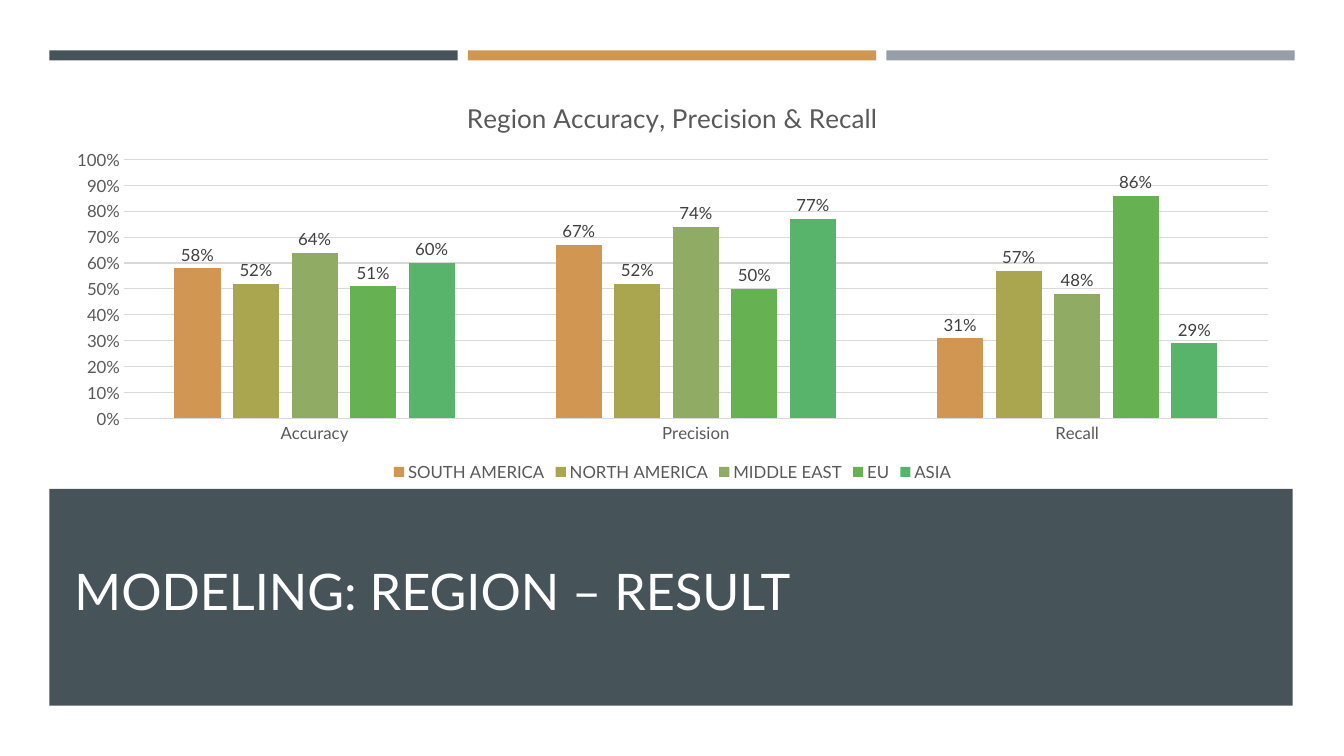
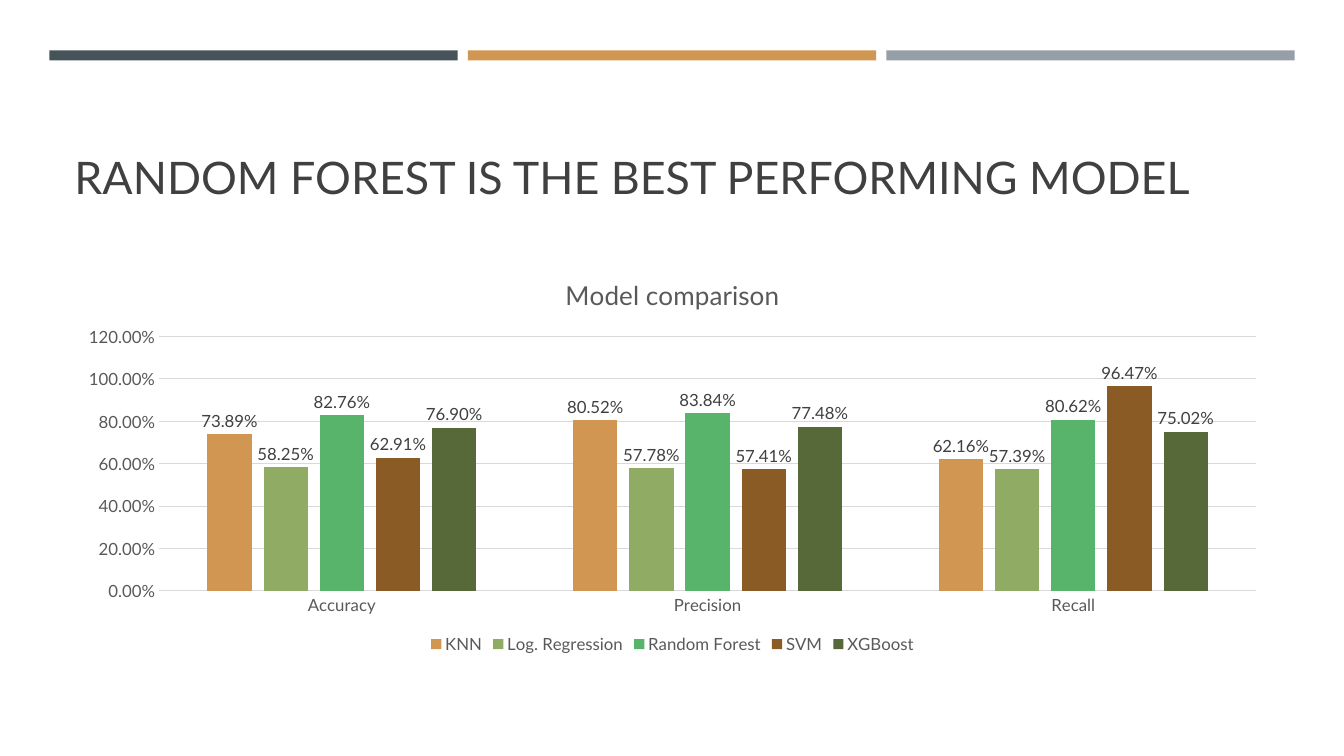
from dataclasses import dataclass

from pptx import Presentation
from pptx.chart.data import CategoryChartData
from pptx.dml.color import RGBColor
from pptx.enum.chart import XL_CHART_TYPE as ChartType
from pptx.enum.chart import XL_LABEL_POSITION as LabelPosition
from pptx.enum.chart import XL_LEGEND_POSITION as LegendPosition
from pptx.enum.chart import XL_TICK_MARK as TickMark
from pptx.enum.shapes import MSO_SHAPE as ShapeType
from pptx.enum.text import MSO_ANCHOR as Anchor
from pptx.util import Inches, Pt


@dataclass(frozen=True)
class Theme:
    font: str = "Lato"
    slate: str = "465359"
    orange: str = "D19651"
    gray: str = "969FA7"
    olive: str = "A9A64F"
    sage: str = "90AB63"
    green: str = "66B253"
    emerald: str = "58B46B"
    brown: str = "8A5B24"
    moss: str = "576939"
    white: str = "FFFFFF"
    dark_text: str = "404040"
    chart_text: str = "595959"
    grid: str = "D9D9D9"
    banner_title: float = 36
    slide_title: float = 32
    chart_title: float = 18.6
    chart_body: float = 12


theme = Theme()


def style_font(font, size, color):
    font.name = theme.font
    font.size = Pt(size)
    font.bold = False
    font.color.rgb = RGBColor.from_string(color)


def add_bar(slide, left, top, width, height, color):
    bar = slide.shapes.add_shape(
        ShapeType.RECTANGLE, Inches(left), Inches(top), Inches(width), Inches(height)
    )
    bar.shadow.inherit = False
    bar.fill.solid()
    bar.fill.fore_color.rgb = RGBColor.from_string(color)
    bar.line.fill.background()


# Content: positions are left, top, width, height in inches
categories = ["Accuracy", "Precision", "Recall"]
pages = [
    {
        "title": "MODELING: REGION – RESULT",
        "title_box": (0.64, 5.04, 12.02, 1.17),
        "title_size": theme.banner_title,
        "title_color": theme.white,
        "banner": (0.49, 4.85, 12.33, 2.15),
        "chart_title": "Region Accuracy, Precision & Recall",
        "chart_box": (0.52, 0.8, 12.3, 4.02),
        "format": "0%",
        "axis_max": 1.0,
        "axis_step": 0.1,
        "series": [
            ("SOUTH AMERICA", theme.orange, (0.58, 0.67, 0.31)),
            ("NORTH AMERICA", theme.olive, (0.52, 0.52, 0.57)),
            ("MIDDLE EAST", theme.sage, (0.64, 0.74, 0.48)),
            ("EU", theme.green, (0.51, 0.5, 0.86)),
            ("ASIA", theme.emerald, (0.6, 0.77, 0.29)),
        ],
    },
    {
        "title": "RANDOM FOREST IS THE BEST PERFORMING MODEL",
        "title_box": (0.64, 0.77, 12.06, 1.3),
        "title_size": theme.slide_title,
        "title_color": theme.dark_text,
        "banner": None,
        "chart_title": "Model comparison",
        "chart_box": (0.64, 2.56, 12.06, 3.97),
        "format": "0.00%",
        "axis_max": 1.2,
        "axis_step": 0.2,
        "series": [
            ("KNN", theme.orange, (0.7389, 0.8052, 0.6216)),
            ("Log. Regression", theme.sage, (0.5825, 0.5778, 0.5739)),
            ("Random Forest", theme.emerald, (0.8276, 0.8384, 0.8062)),
            ("SVM", theme.brown, (0.6291, 0.5741, 0.9647)),
            ("XGBoost", theme.moss, (0.769, 0.7748, 0.7502)),
        ],
    },
]

presentation = Presentation()
presentation.slide_width = Inches(13.33)
presentation.slide_height = Inches(7.5)

for page in pages:
    slide = presentation.slides.add_slide(presentation.slide_layouts[6])
    slide.background.fill.solid()
    slide.background.fill.fore_color.rgb = RGBColor.from_string(theme.white)

    # Three bands along the top, and the banner behind the title
    for column, color in enumerate((theme.slate, theme.orange, theme.gray)):
        add_bar(slide, 0.49 + column * 4.15, 0.5, 4.05, 0.1, color)
    if page["banner"]:
        add_bar(slide, *page["banner"], theme.slate)

    # Title
    title_box = slide.shapes.add_textbox(*map(Inches, page["title_box"]))
    title_frame = title_box.text_frame
    title_frame.word_wrap = True
    title_frame.vertical_anchor = Anchor.BOTTOM
    title_run = title_frame.paragraphs[0].add_run()
    title_run.text = page["title"]
    style_font(title_run.font, page["title_size"], page["title_color"])

    # Chart
    chart_data = CategoryChartData(number_format=page["format"])
    chart_data.categories = categories
    for name, color, values in page["series"]:
        chart_data.add_series(name, values)
    chart = slide.shapes.add_chart(
        ChartType.COLUMN_CLUSTERED, *map(Inches, page["chart_box"]), chart_data
    ).chart
    style_font(chart.font, theme.chart_body, theme.chart_text)

    # Chart title and legend
    chart.has_title = True
    chart.chart_title.include_in_layout = False
    heading_run = chart.chart_title.text_frame.paragraphs[0].add_run()
    heading_run.text = page["chart_title"]
    style_font(heading_run.font, theme.chart_title, theme.chart_text)
    chart.has_legend = True
    chart.legend.position = LegendPosition.BOTTOM
    chart.legend.include_in_layout = False
    style_font(chart.legend.font, theme.chart_body, theme.chart_text)

    # Axes
    for axis in (chart.category_axis, chart.value_axis):
        axis.major_tick_mark = TickMark.NONE
        axis.minor_tick_mark = TickMark.NONE
        style_font(axis.tick_labels.font, theme.chart_body, theme.chart_text)
    value_axis = chart.value_axis
    value_axis.minimum_scale = 0
    value_axis.maximum_scale = page["axis_max"]
    value_axis.major_unit = page["axis_step"]
    value_axis.tick_labels.number_format = page["format"]
    value_axis.tick_labels.number_format_is_linked = False
    value_axis.format.line.fill.background()
    value_axis.has_major_gridlines = True
    for line in (chart.category_axis.format.line, value_axis.major_gridlines.format.line):
        line.color.rgb = RGBColor.from_string(theme.grid)
        line.width = Pt(0.75)

    # Columns and their labels
    plot = chart.plots[0]
    plot.vary_by_categories = False
    plot.gap_width = 219
    plot.overlap = -27
    for series, (name, color, values) in zip(plot.series, page["series"]):
        series.invert_if_negative = False
        series.format.fill.solid()
        series.format.fill.fore_color.rgb = RGBColor.from_string(color)
        labels = series.data_labels
        labels.show_value = True
        labels.position = LabelPosition.OUTSIDE_END
        labels.number_format = page["format"]
        labels.number_format_is_linked = False
        style_font(labels.font, theme.chart_body, theme.dark_text)

presentation.save("out.pptx")
